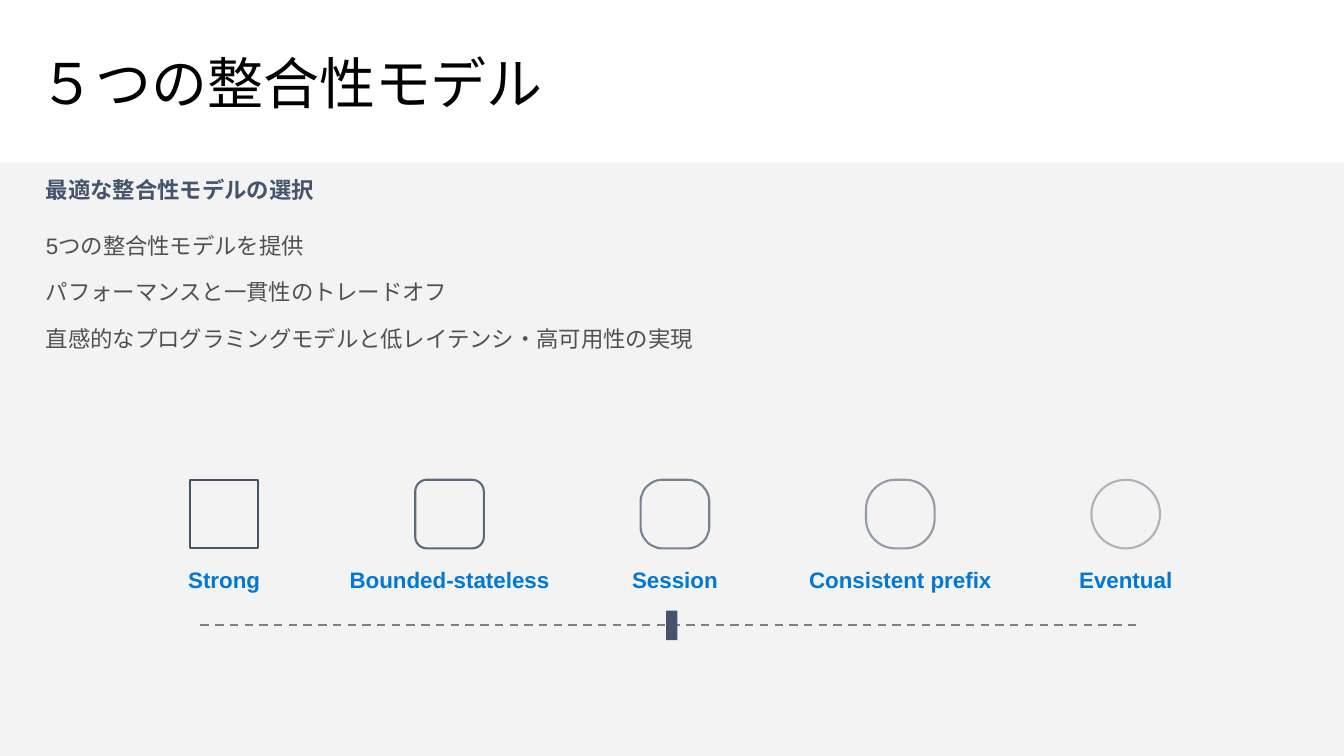
from lxml.etree import SubElement
from pptx import Presentation
from pptx.dml.color import RGBColor
from pptx.enum.dml import MSO_LINE
from pptx.enum.shapes import MSO_CONNECTOR, MSO_SHAPE
from pptx.enum.text import MSO_ANCHOR, PP_ALIGN
from pptx.oxml.ns import qn
from pptx.util import Cm, Pt

BLACK = RGBColor(0x00, 0x00, 0x00)
PANEL = RGBColor(0xF2, 0xF2, 0xF2)
ICON_FILL = RGBColor(0xF3, 0xF3, 0xF3)
NAVY = RGBColor(0x44, 0x54, 0x6A)
BLUE = RGBColor(0x00, 0x78, 0xD7)
TEXT_GRAY = RGBColor(0x50, 0x50, 0x50)
LINE_GRAY = RGBColor(0x80, 0x80, 0x80)

MODELS = [
    ("Strong", MSO_SHAPE.RECTANGLE, None, 100),
    ("Bounded-stateless", MSO_SHAPE.ROUNDED_RECTANGLE, 0.17, 85),
    ("Session", MSO_SHAPE.ROUNDED_RECTANGLE, 0.32, 70),
    ("Consistent prefix", MSO_SHAPE.ROUNDED_RECTANGLE, 0.43, 55),
    ("Eventual", MSO_SHAPE.OVAL, None, 40),
]
POINTS = [
    "5つの整合性モデルを提供",
    "パフォーマンスと一貫性のトレードオフ",
    "直感的なプログラミングモデルと低レイテンシ・高可用性の実現",
]
FIRST_CENTER, MODEL_PITCH = 5.65, 5.68
ICON_SIZE, LABEL_WIDTH = 1.73, 5.2


def set_opacity(fill_format, percent):
    color = fill_format._xPr.find(qn("a:solidFill"))[0]
    SubElement(color, qn("a:alpha"), val=str(percent * 1000))


def add_solid(page, kind, left, top, width, height, color):
    shape = page.shapes.add_shape(kind, Cm(left), Cm(top), Cm(width), Cm(height))
    shape.shadow.inherit = False
    shape.fill.solid()
    shape.fill.fore_color.rgb = color
    shape.line.fill.background()
    return shape


def style_paragraph(para, size, color, bold=False):
    for span in para.runs:
        span.font.name = "Arial"
        span.font.size = Pt(size)
        span.font.bold = bold
        span.font.color.rgb = color


def add_text(page, left, top, width, height, lines, color, bold=False):
    box = page.shapes.add_textbox(Cm(left), Cm(top), Cm(width), Cm(height))
    frame = box.text_frame
    frame.word_wrap = True
    frame.text = "\n".join(lines)
    for index, para in enumerate(frame.paragraphs):
        if index:
            para.space_before = Pt(14)
        style_paragraph(para, 16, color, bold)
    return frame


def add_title(page, text):
    title = page.shapes.title
    title.left, title.top = Cm(0.74), Cm(0.94)
    title.width, title.height = Cm(32.39), Cm(2.49)
    frame = title.text_frame
    frame.text = text
    frame.vertical_anchor = MSO_ANCHOR.MIDDLE
    para = frame.paragraphs[0]
    para.alignment = PP_ALIGN.LEFT
    para.line_spacing = 0.9
    style_paragraph(para, 40, BLACK)


def add_model(page, center, name, kind, rounding, opacity):
    icon = add_solid(page, kind, center - ICON_SIZE / 2, 12.09,
                     ICON_SIZE, ICON_SIZE, ICON_FILL)
    if rounding is not None:
        icon.adjustments[0] = rounding
    icon.line.color.rgb = NAVY
    icon.line.width = Pt(1.5)
    set_opacity(icon.line.fill, opacity)
    label = add_text(page, center - LABEL_WIDTH / 2, 14.15, LABEL_WIDTH, 0.94,
                     [name], BLUE, bold=True)
    label.margin_left = label.margin_right = 0
    label.paragraphs[0].alignment = PP_ALIGN.CENTER


def add_scale(page):
    axis = page.shapes.add_connector(
        MSO_CONNECTOR.STRAIGHT, Cm(5.05), Cm(15.75), Cm(28.78), Cm(15.75))
    axis.line.color.rgb = LINE_GRAY
    axis.line.width = Pt(1.5)
    axis.line.dash_style = MSO_LINE.DASH
    SubElement(axis._element.spPr, qn("a:effectLst"))
    add_solid(page, MSO_SHAPE.RECTANGLE, 16.79, 15.39, 0.28, 0.74, NAVY)


def main():
    deck = Presentation()
    deck.slide_width, deck.slide_height = Cm(33.87), Cm(19.05)
    page = deck.slides.add_slide(deck.slide_layouts[5])
    panel = add_solid(page, MSO_SHAPE.RECTANGLE, 0, 4.09, 33.87, 14.96, PANEL)
    set_opacity(panel.fill, 89)
    add_title(page, "５つの整合性モデル")
    heading = add_text(page, 0.91, 4.39, 32.39, 1.0,
                       ["最適な整合性モデルの選択"], NAVY, bold=True)
    heading.paragraphs[0].line_spacing = 0.9
    add_text(page, 0.91, 5.72, 20.68, 3.4, POINTS, TEXT_GRAY)
    for index, model in enumerate(MODELS):
        add_model(page, FIRST_CENTER + index * MODEL_PITCH, *model)
    add_scale(page)
    deck.save("out.pptx")


if __name__ == "__main__":
    main()
